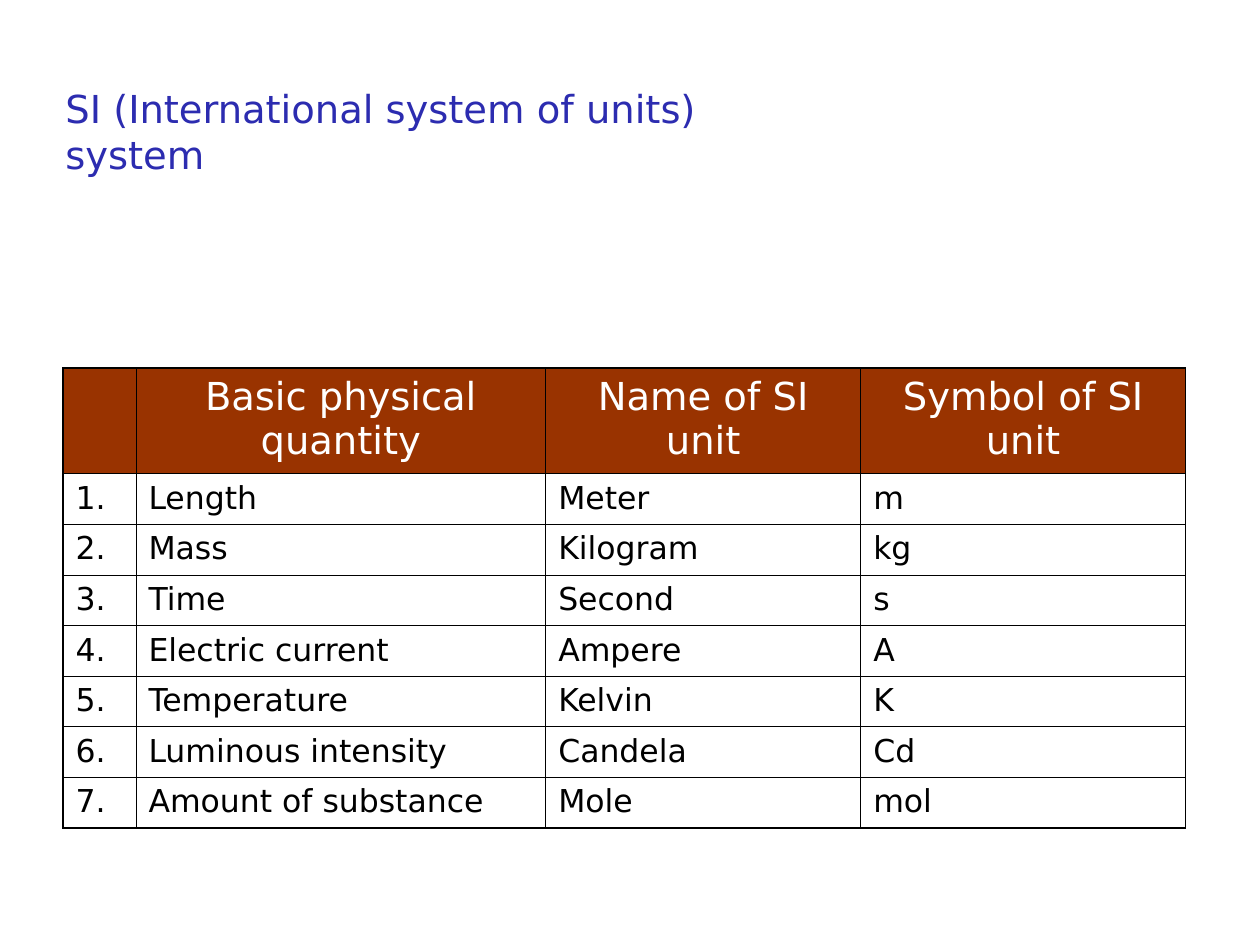
from typing import NamedTuple

from lxml.etree import SubElement
from pptx import Presentation
from pptx.dml.color import RGBColor as Color
from pptx.enum.text import MSO_ANCHOR as Anchor, PP_ALIGN as Align
from pptx.oxml.ns import qn
from pptx.util import Cm, Pt

COLORS = {"title": "2C2CB0", "header": "993300", "header_text": "FFFFFF",
          "text": "000000", "border": "000000"}
FONT = "DejaVu Sans"
THIN, THICK = 0.45, 1.08


class Unit(NamedTuple):
    quantity: str
    name: str
    symbol: str


HEADER = Unit("Basic physical quantity", "Name of SI unit", "Symbol of SI unit")
UNITS = [
    Unit("Length", "Meter", "m"),
    Unit("Mass", "Kilogram", "kg"),
    Unit("Time", "Second", "s"),
    Unit("Electric current", "Ampere", "A"),
    Unit("Temperature", "Kelvin", "K"),
    Unit("Luminous intensity", "Candela", "Cd"),
    Unit("Amount of substance", "Mole", "mol"),
]
COLUMN_WIDTHS = [1.47, 8.26, 6.35, 6.55]
HEADER_HEIGHT, ROW_HEIGHT = 2.13, 1.02


def write_text(frame, text: str, *, size: float, color: str,
               align: Align = Align.LEFT, before: float = 0) -> None:
    para = frame.paragraphs[0]
    para.alignment = align
    para.space_before = Pt(before)
    span = para.add_run()
    span.text = text
    span.font.name = FONT
    span.font.size = Pt(size)
    span.font.color.rgb = Color.from_string(COLORS[color])


def add_border(cell, side: str, width: float) -> None:
    properties = cell._tc.get_or_add_tcPr()
    line = SubElement(properties, qn(f"a:ln{side}"), w=str(int(Pt(width))))
    fill = SubElement(line, qn("a:solidFill"))
    SubElement(fill, qn("a:srgbClr"), val=COLORS["border"])


def add_unit_table(page) -> None:
    rows = [("", *HEADER)]
    rows += [(f"{number}.", *unit) for number, unit in enumerate(UNITS, 1)]
    heights = [HEADER_HEIGHT] + [ROW_HEIGHT] * len(UNITS)
    table = page.shapes.add_table(
        len(rows), len(COLUMN_WIDTHS), Cm(1.27), Cm(7.42),
        Cm(sum(COLUMN_WIDTHS)), Cm(sum(heights))).table
    table.first_row = table.horz_banding = False
    for column, width in zip(table.columns, COLUMN_WIDTHS):
        column.width = Cm(width)

    last_row, last_column = len(rows) - 1, len(COLUMN_WIDTHS) - 1
    for r, (values, height) in enumerate(zip(rows, heights)):
        table.rows[r].height = Cm(height)
        for c, value in enumerate(values):
            cell = table.cell(r, c)
            # Outer edges are thick, inner ones thin
            edges = {"L": c == 0, "R": c == last_column,
                     "T": r == 0, "B": r == last_row}
            for side, outer in edges.items():
                add_border(cell, side, THICK if outer else THIN)
            if r == 0:
                cell.fill.solid()
                cell.fill.fore_color.rgb = Color.from_string(COLORS["header"])
                style = dict(size=22, color="header_text",
                             align=Align.CENTER, before=5.5)
            else:
                cell.fill.background()
                style = dict(size=18, color="text", before=4.5)
            if value:
                write_text(cell.text_frame, value, **style)


deck = Presentation()
deck.slide_width, deck.slide_height = Cm(25.4), Cm(19.05)
page = deck.slides.add_slide(deck.slide_layouts[6])

# Table of base units
add_unit_table(page)

# Title
box = page.shapes.add_textbox(Cm(1.07), Cm(1.47), Cm(14.17), Cm(2.34))
box.text_frame.word_wrap = True
box.text_frame.vertical_anchor = Anchor.MIDDLE
write_text(box.text_frame, "SI (International system of units) system",
           size=22, color="title")

deck.save("out.pptx")
